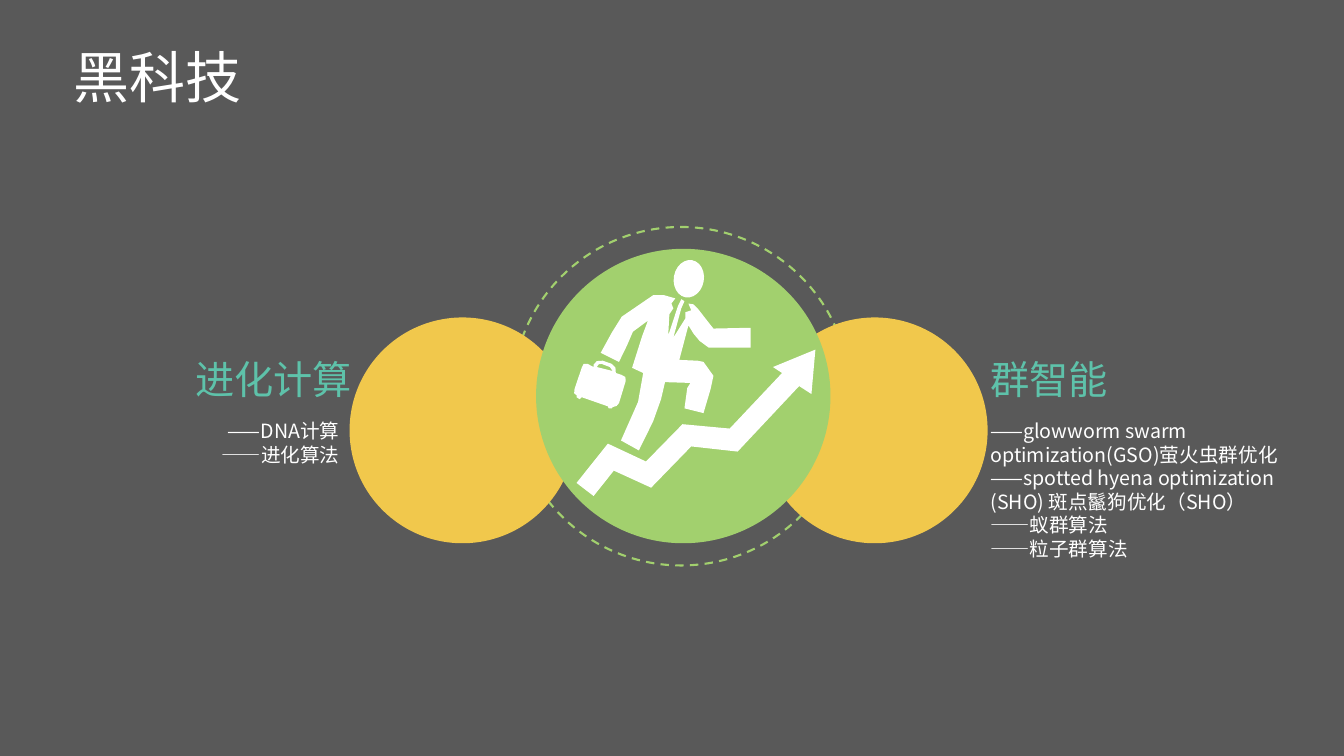
import pptx
import pptx.util
import pptx.dml.color
import pptx.enum.dml
import pptx.enum.shapes
import pptx.enum.text
import pptx.oxml.ns
import lxml.etree

Cm = pptx.util.Cm
ALIGN = pptx.enum.text.PP_ALIGN
WHITE, TEAL, YELLOW, GREEN = "FFFFFF", "5EC2AA", "F1C84C", "A2D06E"
HEADING_FONT, BODY_FONT = "League Spartan", "Noto Sans CJK SC"

# Outline points are in hundredths of a centimetre.
RUNNER = [
    (1595, 836), (1633, 808), (1618, 848), (1593, 927), (1621, 940),
    (1608, 1013), (1565, 1110), (1610, 1135), (1646, 1062), (1666, 1006),
    (1676, 963), (1740, 965), (1732, 978), (1725, 1029), (1773, 1041),
    (1791, 980), (1798, 947), (1773, 912), (1758, 909), (1712, 907),
    (1735, 820), (1748, 841), (1763, 859), (1786, 876), (1892, 876),
    (1892, 826), (1798, 828), (1786, 813), (1758, 777), (1748, 767),
    (1735, 765), (1742, 782), (1727, 787), (1727, 803), (1697, 851),
    (1717, 777), (1725, 759), (1717, 754), (1709, 770), (1684, 846),
    (1687, 792), (1697, 777), (1692, 765), (1702, 752), (1674, 744),
    (1646, 744), (1567, 798), (1542, 838), (1514, 889), (1560, 912),
    (1580, 871),
]
BRIEFCASE = [
    (1461, 1006), (1466, 1001), (1532, 1024), (1534, 1029), (1542, 1029),
    (1544, 1026), (1554, 1023), (1560, 1016), (1577, 960), (1576, 950),
    (1567, 945), (1552, 940), (1551, 926), (1542, 917), (1519, 909),
    (1504, 910), (1496, 919), (1496, 925), (1481, 917), (1471, 917),
    (1466, 927), (1448, 980), (1447, 991), (1453, 996), (1453, 1001),
]
HANDLE_GAP = [(1504, 925), (1509, 918), (1516, 917), (1537, 925), (1544, 935)]
GROWTH_ARROW = [
    (2055, 881), (1948, 925), (1971, 940), (1839, 1080), (1720, 1069),
    (1628, 1163), (1532, 1118), (1453, 1217), (1496, 1250), (1547, 1186),
    (1641, 1229), (1742, 1125), (1859, 1138), (2014, 973), (2045, 993),
]


def rgb(color):
    return pptx.dml.color.RGBColor.from_string(color)


def paint(sp, color):
    sp.shadow.inherit = False
    sp.fill.solid()
    sp.fill.fore_color.rgb = rgb(color)
    sp.line.fill.background()


def add_oval(shapes, left, top, width, height, color):
    sp = shapes.add_shape(pptx.enum.shapes.MSO_SHAPE.OVAL,
                          Cm(left), Cm(top), Cm(width), Cm(height))
    paint(sp, color)
    return sp


def add_ring(shapes, left, top, size, color):
    sp = add_oval(shapes, left, top, size, size, color)
    sp.fill.background()
    sp.line.color.rgb = rgb(color)
    sp.line.width = pptx.util.Pt(1.5)
    sp.line.dash_style = pptx.enum.dml.MSO_LINE.DASH


def add_outline(shapes, color, *contours):
    first, *rest = contours
    builder = shapes.build_freeform(*first[0], scale=Cm(0.01))
    builder.add_line_segments(first[1:])
    for contour in rest:
        builder.move_to(*contour[0])
        builder.add_line_segments(contour[1:])
    paint(builder.convert_to_shape(), color)


def write(sp, lines, size, font, color, align=ALIGN.LEFT, wrap=False):
    tf = sp.text_frame
    tf.text = "\n".join(lines)
    tf.word_wrap = wrap
    tf.auto_size = pptx.enum.text.MSO_AUTO_SIZE.SHAPE_TO_FIT_TEXT
    tf.vertical_anchor = pptx.enum.text.MSO_ANCHOR.TOP
    for p in tf.paragraphs:
        p.alignment = align
        p.font.size = pptx.util.Pt(size)
        p.font.name = font
        p.font.color.rgb = rgb(color)
        props = p._p.pPr.find(pptx.oxml.ns.qn("a:defRPr"))
        ea = lxml.etree.SubElement(props, pptx.oxml.ns.qn("a:ea"))
        ea.set("typeface", BODY_FONT)


def add_text(shapes, left, top, width, height, lines, *style, **options):
    sp = shapes.add_textbox(Cm(left), Cm(top), Cm(width), Cm(height))
    write(sp, lines, *style, **options)


def add_title(slide, text):
    sp = slide.shapes.title
    sp.left, sp.top, sp.width, sp.height = Cm(1.6), Cm(0.94), Cm(4.78), Cm(1.96)
    write(sp, [text], 40, HEADING_FONT, WHITE)


def add_climber(shapes):
    group = shapes.add_group_shape().shapes
    add_oval(group, 16.98, 6.55, 0.76, 0.95, WHITE).rotation = 10
    add_outline(group, WHITE, RUNNER)
    add_outline(group, WHITE, BRIEFCASE, HANDLE_GAP)
    add_outline(group, WHITE, GROWTH_ARROW)


def main():
    prs = pptx.Presentation()
    prs.slide_width, prs.slide_height = Cm(33.87), Cm(19.05)
    s = prs.slides.add_slide(prs.slide_layouts[5])
    s.background.fill.solid()
    s.background.fill.fore_color.rgb = rgb("595959")
    shapes = s.shapes

    add_ring(shapes, 12.9, 5.72, 8.53, GREEN)
    add_title(s, "黑科技")
    for left in (8.81, 19.2):
        add_oval(shapes, left, 8, 5.69, 5.69, YELLOW)
    add_oval(shapes, 13.51, 6.27, 7.42, 7.42, GREEN)

    body = (14, BODY_FONT, WHITE)
    heading = (28, HEADING_FONT, TEAL)
    add_text(shapes, 0.61, 10.44, 8.2, 1.45, ["——DNA计算", "——进化算法"],
             *body, align=ALIGN.RIGHT, wrap=True)
    add_text(shapes, 4.67, 8.82, 4.5, 1.45, ["进化计算"], *heading)
    add_text(shapes, 24.71, 10.44, 8.2, 3.84, [
        "——glowworm swarm optimization(GSO)萤火虫群优化",
        "——spotted hyena optimization (SHO) 斑点鬣狗优化（SHO）",
        "——蚁群算法",
        "——粒子群算法",
    ], *body, wrap=True)
    add_text(shapes, 24.71, 8.82, 3.51, 1.45, ["群智能"], *heading)
    add_climber(shapes)

    prs.save("out.pptx")


if __name__ == "__main__":
    main()
